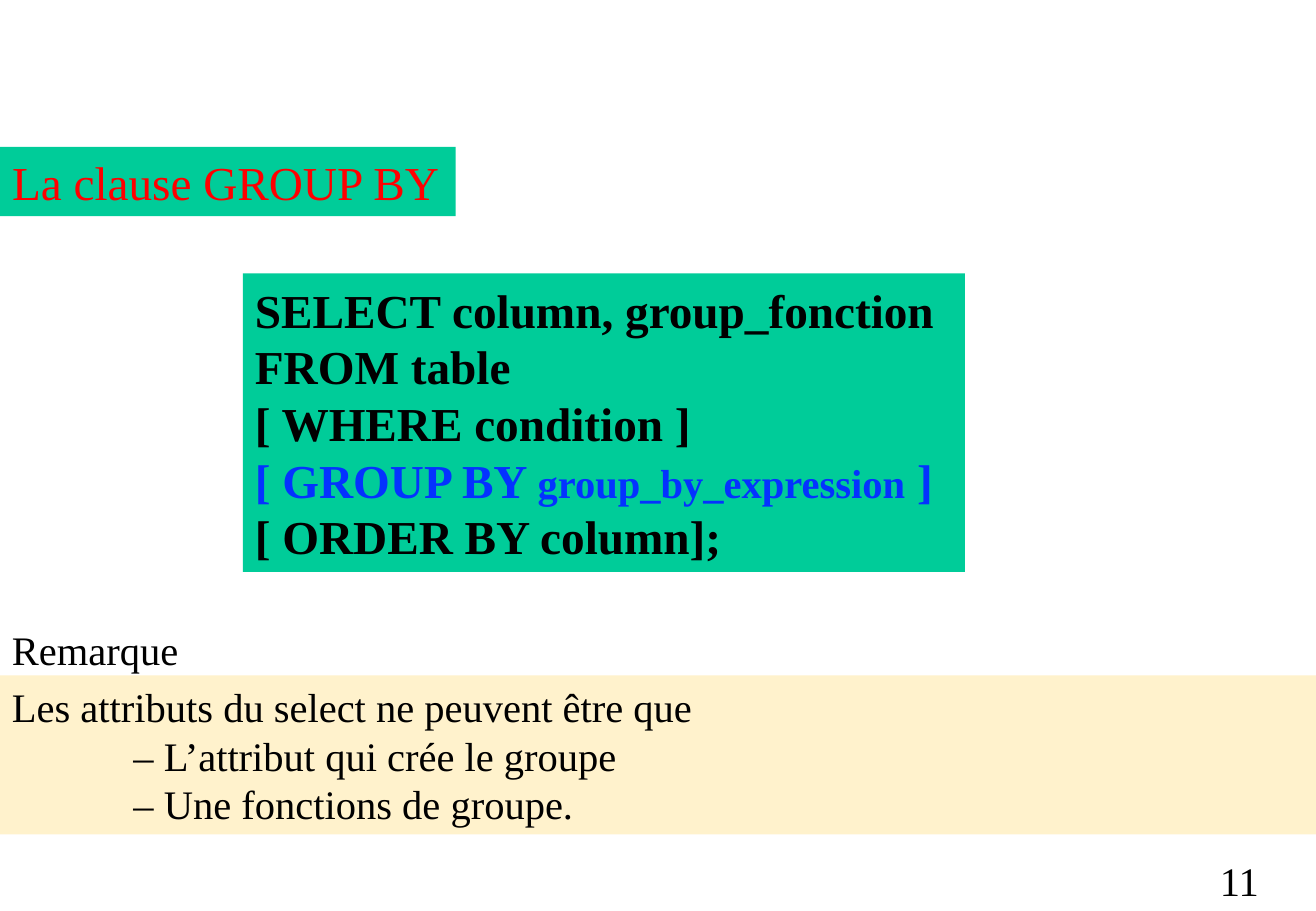
from dataclasses import dataclass

from pptx import Presentation
from pptx.dml.color import RGBColor
from pptx.enum.text import MSO_ANCHOR, MSO_AUTO_SIZE, PP_ALIGN
from pptx.util import Inches, Pt


@dataclass(frozen=True)
class Theme:
    font: str = "Times New Roman"
    large: int = 28
    normal: int = 24
    black: str = "000000"
    red: str = "FF0000"
    blue: str = "0432FF"
    green: str = "00CC99"
    cream: str = "FFF2CC"


THEME = Theme()


def place(box, left, top, width, height):
    box.left, box.top = Inches(left), Inches(top)
    box.width, box.height = Inches(width), Inches(height)


def paint(box, color):
    box.fill.solid()
    box.fill.fore_color.rgb = RGBColor.from_string(color)


def write(para, text, size=THEME.normal, color=THEME.black, bold=False):
    span = para.add_run()
    span.text = text
    font = span.font
    font.name, font.size, font.bold = THEME.font, Pt(size), bold
    font.color.rgb = RGBColor.from_string(color)


def add_lines(box, lines, wrap=True, indents=(), **style):
    """Each line is a list of (text, own format) spans."""
    frame = box.text_frame
    frame.word_wrap = wrap
    frame.auto_size = MSO_AUTO_SIZE.NONE
    frame.vertical_anchor = MSO_ANCHOR.MIDDLE
    for index, line in enumerate(lines):
        para = frame.paragraphs[0] if index == 0 else frame.add_paragraph()
        para.alignment = PP_ALIGN.LEFT
        if index in indents:
            para._p.get_or_add_pPr().set("marL", str(Inches(1)))
        for text, own in line:
            write(para, text, **{**style, **own})


def add_panel(page, area, lines, fill=None, **style):
    box = page.shapes.add_textbox(*map(Inches, area))
    if fill:
        paint(box, fill)
    add_lines(box, lines, **style)


def main():
    deck = Presentation()
    deck.slide_width, deck.slide_height = Inches(10.83), Inches(7.5)
    page = deck.slides.add_slide(deck.slide_layouts[5])

    # Title
    title = page.shapes.title
    place(title, 0, 1.21, 3.75, 0.57)
    paint(title, THEME.green)
    add_lines(title, [[("La clause GROUP BY", {})]], wrap=False,
              size=THEME.large, color=THEME.red)

    # Query syntax
    blue = {"color": THEME.blue}
    query = [
        [("SELECT column, group_fonction", {})],
        [("FROM table", {})],
        [("[ WHERE condition ]", {})],
        [("[ GROUP BY ", blue),
         ("group_by_expression", {**blue, "size": THEME.normal}),
         (" ]", blue)],
        [("[ ORDER BY column];", {})],
    ]
    add_panel(page, (2, 2.25, 5.94, 2.46), query, fill=THEME.green,
              wrap=False, size=THEME.large, bold=True)

    # Remark
    remark = [
        [("Les attributs du select ne peuvent être que", {})],
        [("– L’attribut qui crée le groupe", {})],
        [("– Une fonctions de groupe.", {})],
    ]
    add_panel(page, (0, 5.56, 10.83, 1.31), remark, fill=THEME.cream,
              indents=(1, 2))
    add_panel(page, (0, 5.09, 1.58, 0.51), [[("Remarque", {})]], wrap=False)

    # Page number
    add_panel(page, (9.94, 6.99, 0.89, 0.51), [[("11", {})]])

    deck.save("out.pptx")


if __name__ == "__main__":
    main()
